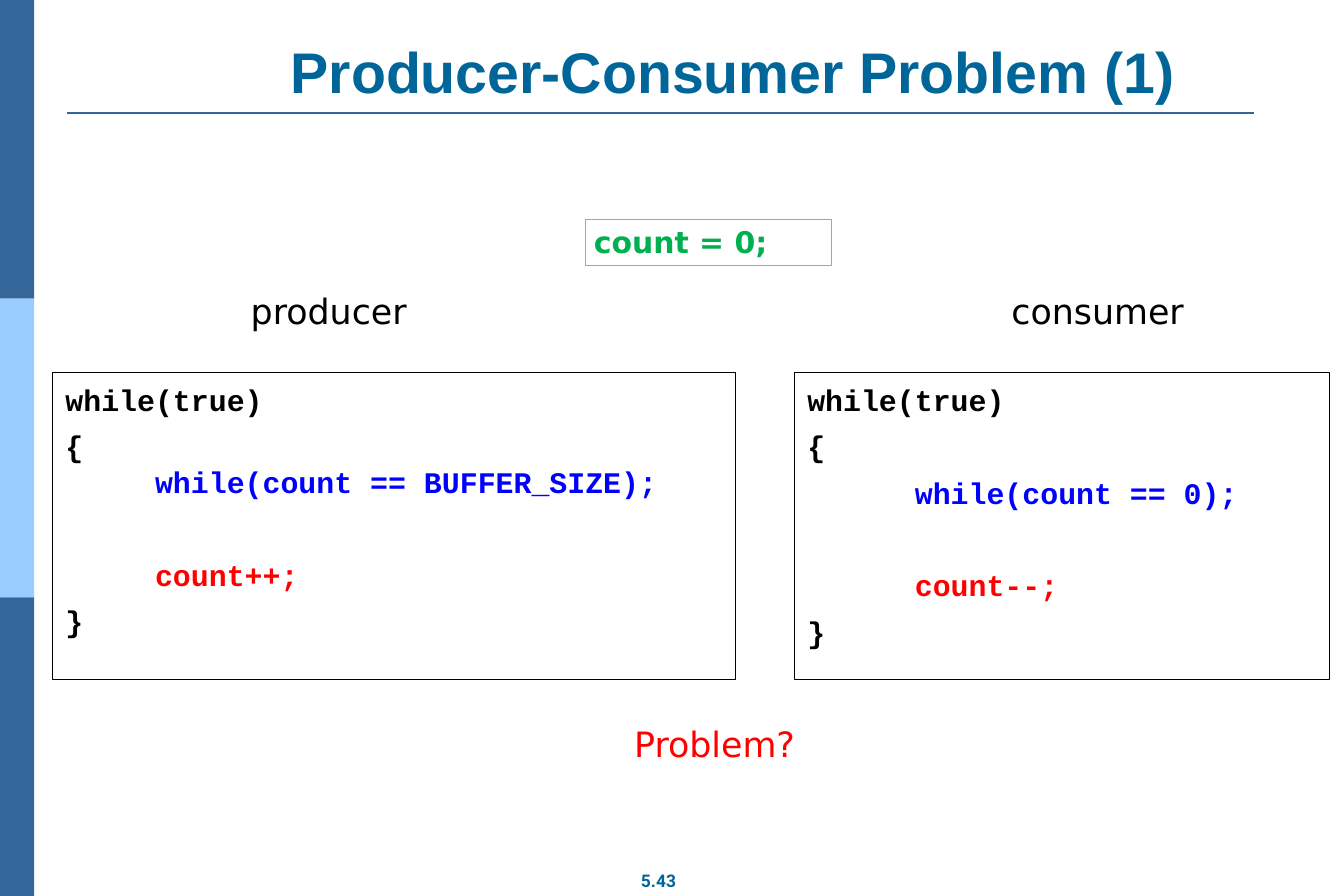
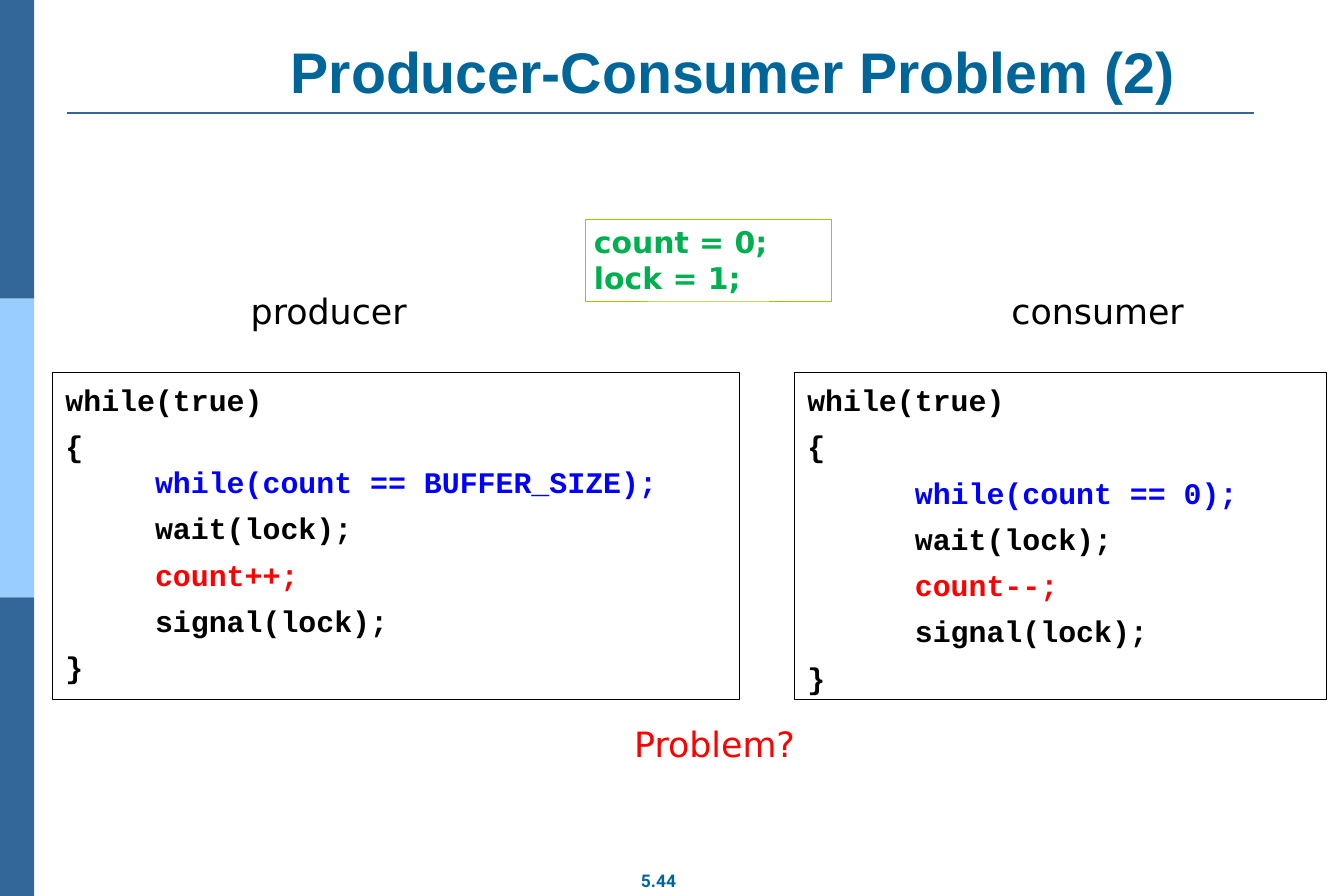
"""Build two slides on the producer-consumer problem."""
from pptx import Presentation
from pptx.dml.color import RGBColor
from pptx.enum.shapes import MSO_CONNECTOR, MSO_SHAPE
from pptx.enum.text import MSO_ANCHOR, MSO_AUTO_SIZE, PP_ALIGN
from pptx.oxml.xmlchemy import OxmlElement
from pptx.util import Inches, Pt

NAVY = RGBColor(0x33, 0x66, 0x99)
SKY = RGBColor(0x99, 0xCC, 0xFF)
TEAL = RGBColor(0x00, 0x66, 0x99)
BLACK = RGBColor(0, 0, 0)
BLUE = RGBColor(0, 0, 0xFF)
RED = RGBColor(0xFF, 0, 0)
GREEN = RGBColor(0x00, 0xB0, 0x50)
LIME = RGBColor(0x99, 0xCC, 0x00)

HEAD = {"name": "Arial", "size": Pt(46), "bold": True}
CODE = {"name": "Courier New", "size": Pt(24), "bold": True}
LABEL = {"name": "DejaVu Sans", "size": Pt(28)}
STATE = {"name": "DejaVu Sans", "size": Pt(24), "bold": True}
PAGE = {"name": "Roboto", "size": Pt(14), "bold": True}

LEAD, GAP = 28.8, 8.4
SKIP = GAP + LEAD + GAP

OPEN = [("while(true)", BLACK, 0), ("{", BLACK, GAP)]
CLOSE = [("}", BLACK, GAP)]
FILL = ("     while(count == BUFFER_SIZE);", BLUE, 0)
DRAIN = ("      while(count == 0);", BLUE, GAP)

SLIDES = [
    {
        "title": "Producer-Consumer Problem (1)",
        "page": "5.43",
        "state": ["count = 0;"],
        "high": 3.42,
        "wide": (7.62, 5.97),
        "code": (
            [FILL, ("     count++;", RED, SKIP)],
            [DRAIN, ("      count--;", RED, SKIP)],
        ),
    },
    {
        "title": "Producer-Consumer Problem (2)",
        "page": "5.44",
        "state": ["count = 0;", "lock = 1;"],
        "high": 3.65,
        "wide": (7.66, 5.94),
        "code": (
            [FILL, ("     wait(lock);", BLACK, GAP),
             ("     count++;", RED, GAP),
             ("     signal(lock);", BLACK, GAP)],
            [DRAIN, ("      wait(lock);", BLACK, GAP),
             ("      count--;", RED, GAP),
             ("      signal(lock);", BLACK, GAP)],
        ),
    },
]
LABELS = [
    ("producer", BLACK, 2.7, 3.18, 3.35),
    ("consumer", BLACK, 11.19, 3.18, 3.35),
    ("Problem?", RED, 6.98, 8.02, 4.21),
]


def write(frame, rows, style, align=PP_ALIGN.LEFT, lead=None):
    for i, (text, color, gap) in enumerate(rows):
        para = frame.paragraphs[0] if i == 0 else frame.add_paragraph()
        para.alignment = align
        para.space_before = Pt(gap)
        if lead:
            para.line_spacing = Pt(lead)
        run = para.add_run()
        run.text = text
        for key, value in style.items():
            setattr(run.font, key, value)
        run.font.color.rgb = color


def inset(frame, side, top):
    frame.margin_left = frame.margin_right = Inches(side)
    frame.margin_top = frame.margin_bottom = Inches(top)


def add_box(slide, x, y, wide, high, border=None):
    box = slide.shapes.add_textbox(
        Inches(x), Inches(y), Inches(wide), Inches(high))
    box.text_frame.word_wrap = True
    if border is not None:
        box.line.color.rgb = border
        box.line.width = Pt(0.75)
    return box.text_frame


def dress(layout, slide):
    """Draw the shared bands and rule, and move them to the layout."""
    parts = []
    for i, color in enumerate((NAVY, SKY, NAVY)):
        band = slide.shapes.add_shape(
            MSO_SHAPE.RECTANGLE, 0, Inches(10 * i / 3),
            Inches(0.38), Inches(10 / 3))
        band.shadow.inherit = False
        band.fill.solid()
        band.fill.fore_color.rgb = color
        band.line.fill.background()
        parts.append(band)
    rule = slide.shapes.add_connector(
        MSO_CONNECTOR.STRAIGHT, Inches(0.75), Inches(1.26),
        Inches(14), Inches(1.26))
    rule.line.color.rgb = NAVY
    rule.line.width = Pt(1.5)
    rule.element.spPr.append(OxmlElement("a:effectLst"))
    for part in parts + [rule]:
        layout.shapes.element.append(part.element)


def build(slide, data):
    title = slide.shapes.title
    title.left, title.top = Inches(2.1), Inches(0.4)
    title.width, title.height = Inches(12.15), Inches(0.84)
    frame = title.text_frame
    frame.vertical_anchor = MSO_ANCHOR.BOTTOM
    frame.auto_size = MSO_AUTO_SIZE.NONE
    inset(frame, 0.14, 0.07)
    write(frame, [(data["title"], TEAL, 0)], HEAD, PP_ALIGN.CENTER)

    for x, wide, body in zip((0.59, 8.87), data["wide"], data["code"]):
        frame = add_box(slide, x, 4.16, wide, data["high"], BLACK)
        inset(frame, 0.14, 0.1)
        write(frame, OPEN + body + CLOSE, CODE, lead=LEAD)

    for text, color, x, y, wide in LABELS:
        write(add_box(slide, x, y, wide, 0.57), [(text, color, 0)], LABEL)

    rows = [(text, GREEN, 0) for text in data["state"]]
    high = 0.11 + 0.4 * len(rows)
    write(add_box(slide, 6.53, 2.45, 2.75, high, LIME), rows, STATE)

    frame = add_box(slide, 7, 9.64, 0.7, 0.38)
    frame.word_wrap = False
    inset(frame, 0.14, 0.07)
    write(frame, [(data["page"], TEAL, 0)], PAGE, PP_ALIGN.CENTER)


def main():
    deck = Presentation()
    deck.slide_width, deck.slide_height = Inches(15), Inches(10)
    layout = deck.slide_layouts[5]
    for i, data in enumerate(SLIDES):
        slide = deck.slides.add_slide(layout)
        if i == 0:
            dress(layout, slide)
        build(slide, data)
    deck.save("out.pptx")


if __name__ == "__main__":
    main()
